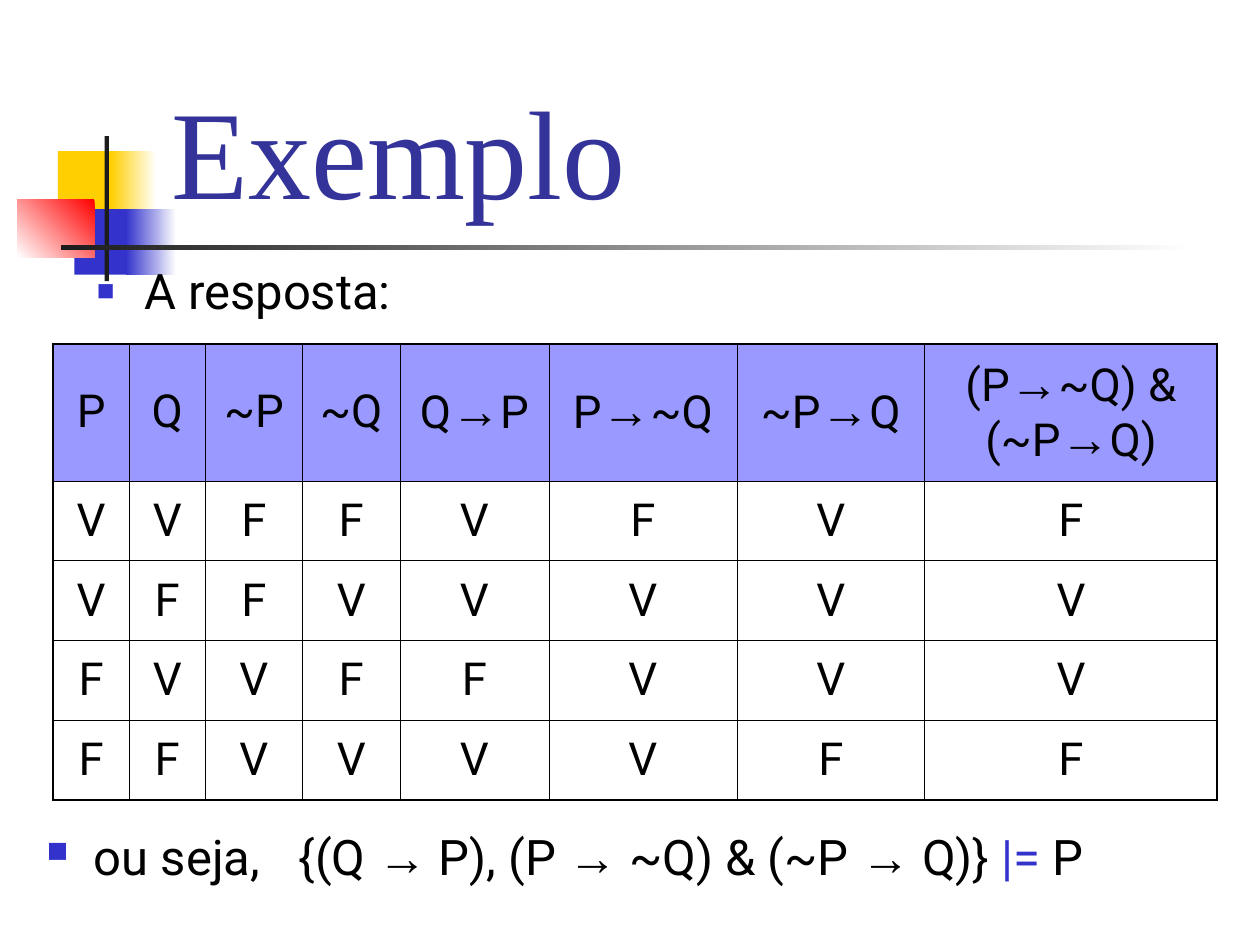
from dataclasses import dataclass
from itertools import groupby
from typing import NamedTuple, Optional

from lxml.etree import SubElement
from pptx import Presentation
from pptx.dml.color import RGBColor
from pptx.enum.shapes import MSO_SHAPE
from pptx.enum.text import MSO_ANCHOR, MSO_AUTO_SIZE, PP_ALIGN
from pptx.oxml.ns import qn
from pptx.util import Pt


@dataclass(frozen=True)
class Theme:
    title_font: str = "Times New Roman"
    text_font: str = "Roboto"
    arrow_font: str = "Arial"
    title_size: float = 72
    text_size: float = 28
    cell_size: float = 26
    title: str = "333399"
    text: str = "000000"
    accent: str = "3333CC"
    header: str = "9999FF"
    yellow: str = "FFCF01"
    red: str = "FF0000"
    dark: str = "1C1C1C"
    white: str = "FFFFFF"
    outer_line: float = 1.08
    inner_line: float = 0.45


class Box(NamedTuple):
    left: float
    top: float
    width: float
    height: float


class Block(NamedTuple):
    box: Box
    color: str
    fade_to: Optional[str] = None
    angle: float = 180


THEME = Theme()
DECORATION = [
    Block(Box(33.1, 86.4, 34.6, 37.4), THEME.yellow),
    Block(Box(63.4, 86.4, 25.9, 37.4), THEME.white, THEME.yellow),
    Block(Box(42.5, 119.5, 33.1, 37.4), THEME.accent),
    Block(Box(72, 119.5, 28.8, 37.4), THEME.white, THEME.accent),
    Block(Box(10, 113.8, 44, 33.2), THEME.red, THEME.white, 225),
    Block(Box(59.8, 77.8, 2.4, 82.8), THEME.dark),
    Block(Box(34.6, 140.2, 648, 2.4), THEME.white, THEME.dark),
]
TITLE_BOX = Box(90.7, 16.6, 613.4, 115.2)
ANSWER_BOX = Box(48.2, 145.4, 334, 43.2)
TABLE_BOX = Box(30.4, 196.4, 665.3, 260.9)
CONCLUSION_BOX = Box(19.6, 468.7, 671.8, 43.2)
COLUMN_WIDTHS = [43.5, 43.5, 55.6, 55.6, 85.2, 107.4, 107.4, 167.1]
ROW_HEIGHTS = [78.4, 45.6, 45.6, 45.7, 45.6]
HEADINGS = ["P", "Q", "~P", "~Q", "Q→P", "P→~Q", "~P→Q", "(P→~Q) & (~P→Q)"]
TRUTH_ROWS = ["VVFFVFVF", "VFFVVVVV", "FVVFFVVV", "FFVVVVFF"]
CONCLUSION = "ou seja, \t{(Q → P), (P → ~Q) & (~P → Q)} |= P"


def rgb(color: str) -> RGBColor:
    return RGBColor.from_string(color)


def place(shape, box: Box) -> None:
    shape.left, shape.top, shape.width, shape.height = map(Pt, box)


def draw_block(shapes, block: Block) -> None:
    shape = shapes.add_shape(MSO_SHAPE.RECTANGLE, *map(Pt, block.box))
    shape.shadow.inherit = False
    shape.line.fill.background()
    if block.fade_to is None:
        shape.fill.solid()
        shape.fill.fore_color.rgb = rgb(block.color)
        return
    shape.fill.gradient()
    shape.fill.gradient_angle = block.angle
    for stop, color in zip(shape.fill.gradient_stops, (block.color, block.fade_to)):
        stop.color.rgb = rgb(color)


def style(paragraph, font: str, size: float, color: str) -> None:
    paragraph.font.name = font
    paragraph.font.size = Pt(size)
    paragraph.font.color.rgb = rgb(color)


def symbol_kind(character: str) -> str:
    return {"→": "arrow", "|": "entails", "=": "entails"}.get(character, "plain")


def write_formula(paragraph, formula: str, size: float) -> None:
    style(paragraph, THEME.text_font, size, THEME.text)
    for kind, characters in groupby(formula, symbol_kind):
        run = paragraph.add_run()
        run.text = "".join(characters)
        if kind == "arrow":
            run.font.name = THEME.arrow_font
            run.font.size = Pt(THEME.text_size)
        elif kind == "entails":
            run.font.color.rgb = rgb(THEME.accent)


def write_bullet(frame, formula: str) -> None:
    frame.word_wrap = True
    frame.auto_size = MSO_AUTO_SIZE.NONE
    paragraph = frame.paragraphs[0]
    paragraph.space_before = Pt(7)
    properties = paragraph._p.get_or_add_pPr()
    properties.set("marL", str(Pt(27)))
    properties.set("indent", str(Pt(-27)))
    bullet_color = SubElement(properties, qn("a:buClr"))
    SubElement(bullet_color, qn("a:srgbClr"), val=THEME.accent)
    SubElement(properties, qn("a:buSzPct"), val="60000")
    SubElement(properties, qn("a:buChar"), char="■")
    tabs = SubElement(properties, qn("a:tabLst"))
    for inch in range(1, 9):
        SubElement(tabs, qn("a:tab"), pos=str(Pt(72 * inch)), algn="l")
    write_formula(paragraph, formula, THEME.text_size)


def draw_borders(cell, outer_edges: dict[str, bool]) -> None:
    properties = cell._tc.get_or_add_tcPr()
    for edge, is_outer in outer_edges.items():
        width = THEME.outer_line if is_outer else THEME.inner_line
        line = SubElement(properties, qn(f"a:ln{edge}"), w=str(Pt(width)))
        fill = SubElement(line, qn("a:solidFill"))
        SubElement(fill, qn("a:srgbClr"), val=THEME.text)


def draw_truth_table(shapes) -> None:
    rows = [HEADINGS, *TRUTH_ROWS]
    table = shapes.add_table(len(rows), len(HEADINGS), *map(Pt, TABLE_BOX)).table
    table.first_row = table.horz_banding = False
    for column, width in zip(table.columns, COLUMN_WIDTHS):
        column.width = Pt(width)
    for row, height in zip(table.rows, ROW_HEIGHTS):
        row.height = Pt(height)
    for r, values in enumerate(rows):
        for c, value in enumerate(values):
            cell = table.cell(r, c)
            draw_borders(cell, {"L": c == 0, "R": c == len(HEADINGS) - 1,
                                "T": r == 0, "B": r == len(rows) - 1})
            if r == 0:
                cell.fill.solid()
                cell.fill.fore_color.rgb = rgb(THEME.header)
            else:
                cell.fill.background()
            cell.vertical_anchor = MSO_ANCHOR.MIDDLE
            paragraph = cell.text_frame.paragraphs[0]
            paragraph.alignment = PP_ALIGN.CENTER
            paragraph.space_before = Pt(6.5)
            write_formula(paragraph, value, THEME.cell_size)


def main() -> None:
    presentation = Presentation()
    presentation.slide_width, presentation.slide_height = Pt(720), Pt(540)
    slide = presentation.slides.add_slide(presentation.slide_layouts[1])
    shapes = slide.shapes
    title, answer = slide.placeholders

    for block in DECORATION:
        draw_block(shapes, block)
    for placeholder in (title, answer):
        shapes._spTree.append(placeholder._element)

    place(title, TITLE_BOX)
    title.text_frame.text = "Exemplo"
    title.text_frame.auto_size = MSO_AUTO_SIZE.NONE
    title.text_frame.vertical_anchor = MSO_ANCHOR.BOTTOM
    heading = title.text_frame.paragraphs[0]
    heading.alignment = PP_ALIGN.LEFT
    style(heading, THEME.title_font, THEME.title_size, THEME.title)

    place(answer, ANSWER_BOX)
    write_bullet(answer.text_frame, "A resposta:")
    draw_truth_table(shapes)
    conclusion = shapes.add_textbox(*map(Pt, CONCLUSION_BOX))
    write_bullet(conclusion.text_frame, CONCLUSION)
    presentation.save("out.pptx")


if __name__ == "__main__":
    main()
